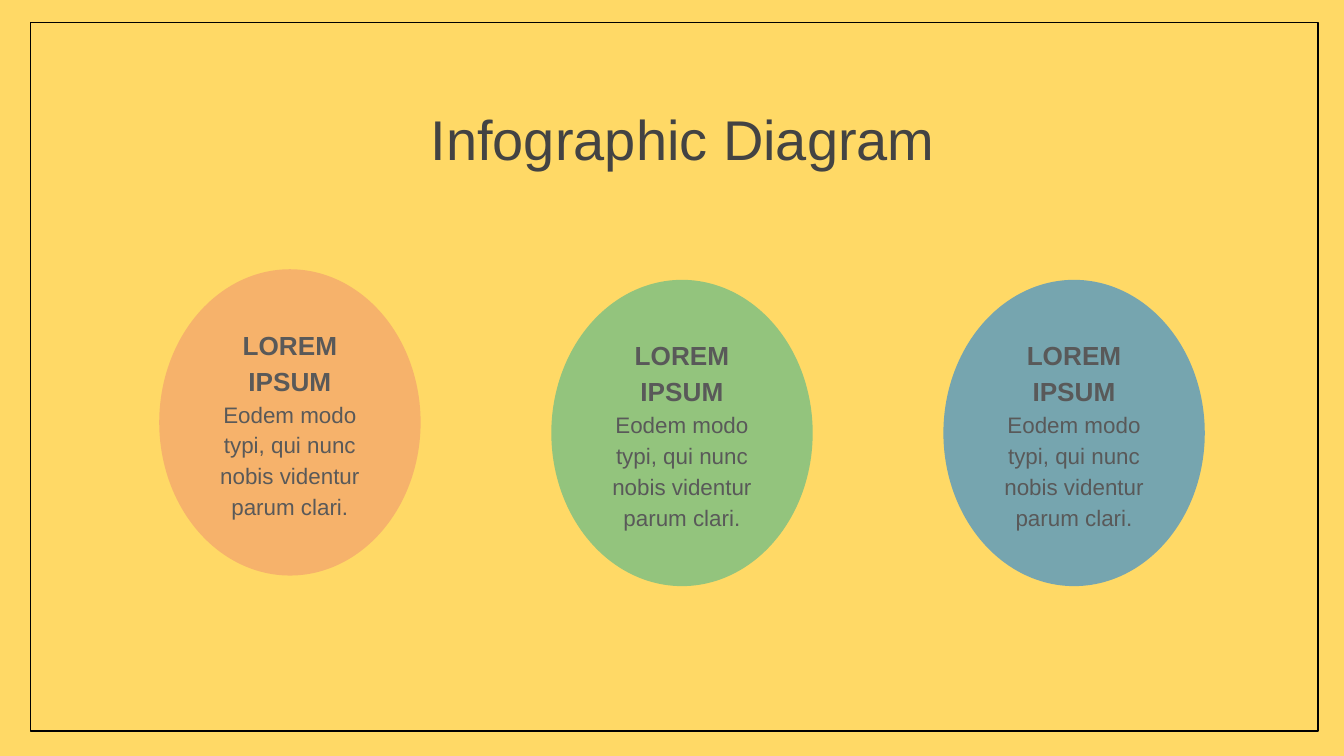
from pptx import Presentation
from pptx.dml.color import RGBColor
from pptx.enum.shapes import MSO_SHAPE as Shape
from pptx.enum.text import MSO_ANCHOR as Anchor, MSO_AUTO_SIZE as AutoSize, PP_ALIGN as Align
from pptx.util import Cm, Pt

TITLE = "Infographic Diagram"
HEADING = "LOREM IPSUM"
DETAIL = "Eodem modo typi, qui nunc nobis videntur parum clari."
OVALS = [("F6B26B", 5.09), ("93C47D", 5.29), ("76A5AF", 5.29)]  # fill, top in cm

FIRST_LEFT, STEP = 3.01, 7.41
OVAL_WIDTH, OVAL_HEIGHT = 4.94, 5.79
TITLE_FORMAT = {"name": "Arial", "size": Pt(30), "bold": False}
HEADING_FORMAT = {"name": "Arial", "size": Pt(14), "bold": True}
DETAIL_FORMAT = {"name": "Arial", "size": Pt(12), "bold": False}


def paint(color_format, color):
    color_format.rgb = RGBColor.from_string(color)


def set_frame(frame, anchor):
    values = {"word_wrap": True, "auto_size": AutoSize.NONE, "vertical_anchor": anchor}
    for side in ("left", "top", "right", "bottom"):
        values[f"margin_{side}"] = Cm(0.25)
    for name, value in values.items():
        setattr(frame, name, value)


def write(para, text, font_format, color):
    para.alignment = Align.CENTER
    span = para.add_run()
    span.text = text
    for name, value in font_format.items():
        setattr(span.font, name, value)
    paint(span.font.color, color)


def add_shape(page, kind, left, top, width, height):
    shape = page.shapes.add_shape(kind, Cm(left), Cm(top), Cm(width), Cm(height))
    shape.shadow.inherit = False
    return shape


def add_border(page):
    border = add_shape(page, Shape.RECTANGLE, 0.58, 0.43, 24.33, 13.39)
    border.fill.background()
    border.line.width = Pt(0.75)
    paint(border.line.color, "000000")


def add_title(page):
    title = page.shapes.title
    title.left, title.top, title.width, title.height = map(Cm, (1.07, 1.73, 23.67, 1.6))
    set_frame(title.text_frame, Anchor.TOP)
    write(title.text_frame.paragraphs[0], TITLE, TITLE_FORMAT, "434343")


def add_oval(page, left, top, color):
    oval = add_shape(page, Shape.FLOWCHART_CONNECTOR, left, top, OVAL_WIDTH, OVAL_HEIGHT)
    oval.fill.solid()
    paint(oval.fill.fore_color, color)
    oval.line.fill.background()
    frame = oval.text_frame
    set_frame(frame, Anchor.MIDDLE)
    lines = [
        (frame.paragraphs[0], HEADING, HEADING_FORMAT),
        (frame.add_paragraph(), DETAIL, DETAIL_FORMAT),
    ]
    for para, text, font_format in lines:
        para.line_spacing = 1.15
        write(para, text, font_format, "595959")


def main():
    deck = Presentation()
    deck.slide_width, deck.slide_height = Cm(25.4), Cm(14.29)
    page = deck.slides.add_slide(deck.slide_layouts.get_by_name("Title Only"))
    page.background.fill.solid()
    paint(page.background.fill.fore_color, "FFD966")
    add_border(page)
    add_title(page)
    for index, (color, top) in enumerate(OVALS):
        add_oval(page, FIRST_LEFT + index * STEP, top, color)
    deck.save("out.pptx")


if __name__ == "__main__":
    main()
